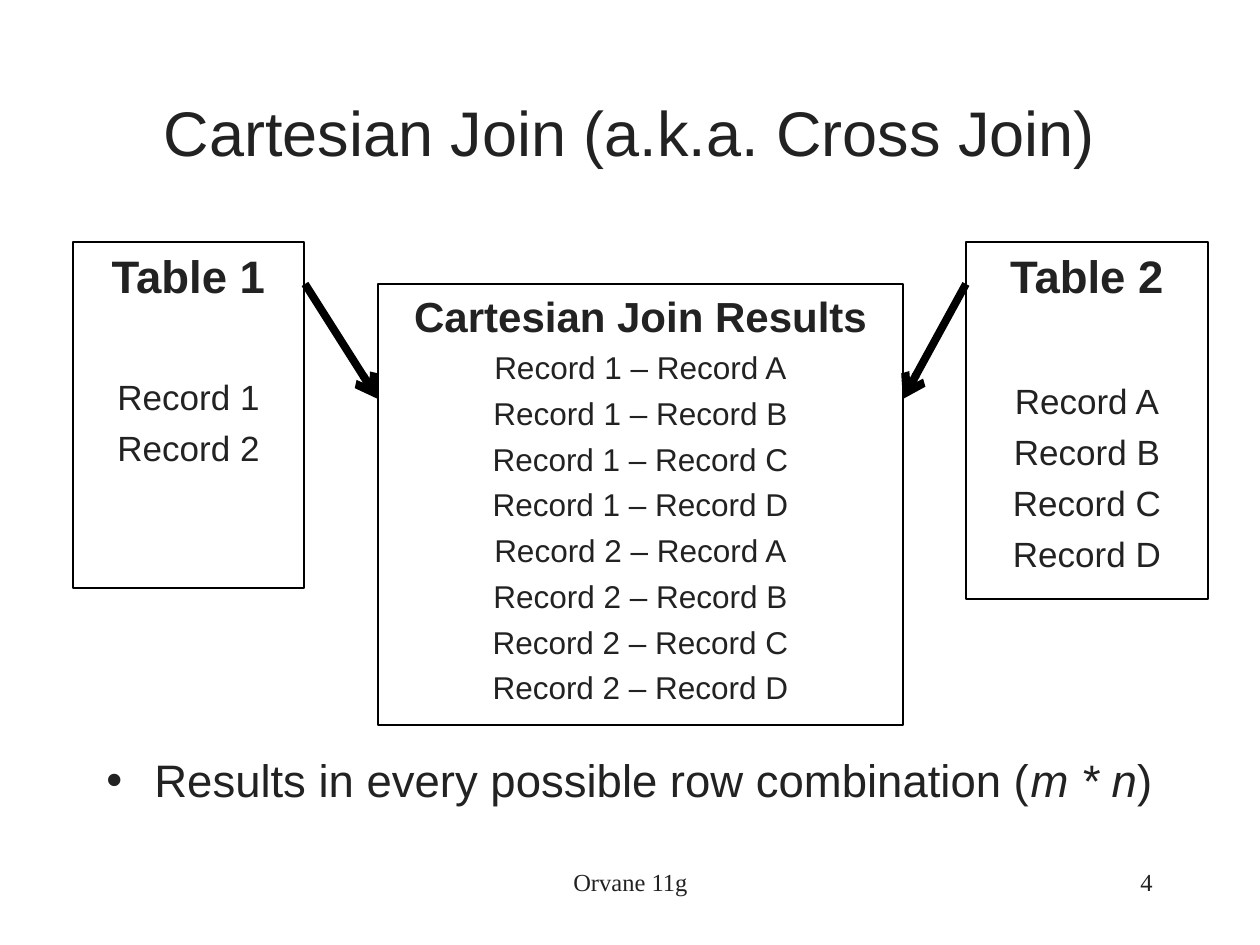
from dataclasses import dataclass
from itertools import product

from lxml.etree import SubElement
from pptx import Presentation
from pptx.dml.color import RGBColor
from pptx.enum.shapes import MSO_CONNECTOR, MSO_SHAPE
from pptx.enum.text import MSO_ANCHOR, PP_ALIGN
from pptx.oxml.ns import qn
from pptx.util import Emu, Pt

PX = 914400 // 126


@dataclass(frozen=True)
class Theme:
    text = RGBColor(0x22, 0x22, 0x22)
    line = RGBColor(0, 0, 0)
    sans = "Arial"
    serif = "Times New Roman"
    title = 36
    body = 26
    footer = 14
    border = 0.75
    arrow = 4.5


THEME = Theme()
TITLE = "Cartesian Join (a.k.a. Cross Join)"
BULLET = [("Results in every possible row combination (", False),
          ("m * n", True), (")", False)]
ROWS_1 = ["Record 1", "Record 2"]
ROWS_2 = ["Record A", "Record B", "Record C", "Record D"]
RESULTS = [f"{a} – {b}" for a, b in product(ROWS_1, ROWS_2)]

# heading, rows, (left, top, width, height), heading pt, row pt, gap under heading pt
BOXES = [
    ("Table 1", ROWS_1, (73, 242, 231, 346), 26, 20, 41.5),
    ("Cartesian Join Results", RESULTS, (378, 284, 525, 441), 24, 18, 4.5),
    ("Table 2", ROWS_2, (966, 242, 242, 357), 26, 20, 44),
]
ARROWS = [((305, 284), (378, 399)), ((966, 284), (903, 399))]
FOOTERS = [("Orvane 11g", (431, 861, 399, 63), PP_ALIGN.CENTER),
           ("4", (903, 861, 262, 63), PP_ALIGN.RIGHT)]


def px(*values):
    return [Emu(v * PX) for v in values]


def style(p, size, font=THEME.sans, bold=False, align=PP_ALIGN.CENTER, before=0):
    p.alignment = align
    p.space_before = Pt(before)
    for r in p.runs:
        r.font.name, r.font.size, r.font.bold = font, Pt(size), bold
        r.font.color.rgb = THEME.text


def add_text(slide, box, text="", anchor=MSO_ANCHOR.TOP):
    tf = slide.shapes.add_textbox(*px(*box)).text_frame
    tf.word_wrap = True
    tf.vertical_anchor = anchor
    tf.text = text
    return tf.paragraphs[0]


def add_record_box(slide, heading, rows, box, head_size, row_size, gap):
    sp = slide.shapes.add_shape(MSO_SHAPE.RECTANGLE, *px(*box))
    sp.shadow.inherit = False
    sp.fill.background()
    sp.line.color.rgb = THEME.line
    sp.line.width = Pt(THEME.border)
    tf = sp.text_frame
    tf.word_wrap = True
    tf.vertical_anchor = MSO_ANCHOR.TOP
    tf.text = "\n".join([heading, *rows])
    head, *records = tf.paragraphs
    style(head, head_size, bold=True, before=head_size / 4)
    for i, p in enumerate(records):
        style(p, row_size, before=row_size / 4 if i else gap)


def add_arrow(slide, start, end):
    line = slide.shapes.add_connector(MSO_CONNECTOR.STRAIGHT, *px(*start, *end))
    line.line.color.rgb = THEME.line
    line.line.width = Pt(THEME.arrow)
    SubElement(line.line._get_or_add_ln(), qn("a:tailEnd"), type="arrow")
    SubElement(line._element.spPr, qn("a:effectLst"))


def add_bullet(slide, box, parts):
    p = add_text(slide, box)
    for text, italic in parts:
        r = p.add_run()
        r.text = text
        r.font.italic = italic
    style(p, THEME.body, align=PP_ALIGN.LEFT, before=THEME.body / 4)
    indent = 48 * PX
    pPr = p._p.get_or_add_pPr()
    pPr.set("marL", str(indent))
    pPr.set("indent", str(-indent))
    SubElement(pPr, qn("a:buFont"), typeface=THEME.sans)
    SubElement(pPr, qn("a:buChar"), char="•")


def main():
    prs = Presentation()
    prs.slide_width, prs.slide_height = px(1260, 945)
    slide = prs.slides.add_slide(prs.slide_layouts[6])
    style(add_text(slide, (73, 53, 1113, 157), TITLE, MSO_ANCHOR.MIDDLE), THEME.title)
    for text, box, align in FOOTERS:
        style(add_text(slide, box, text), THEME.footer, THEME.serif, align=align)
    for box in BOXES:
        add_record_box(slide, *box)
    for start, end in ARROWS:
        add_arrow(slide, start, end)
    add_bullet(slide, (94, 746, 1113, 105), BULLET)
    prs.save("out.pptx")


if __name__ == "__main__":
    main()
